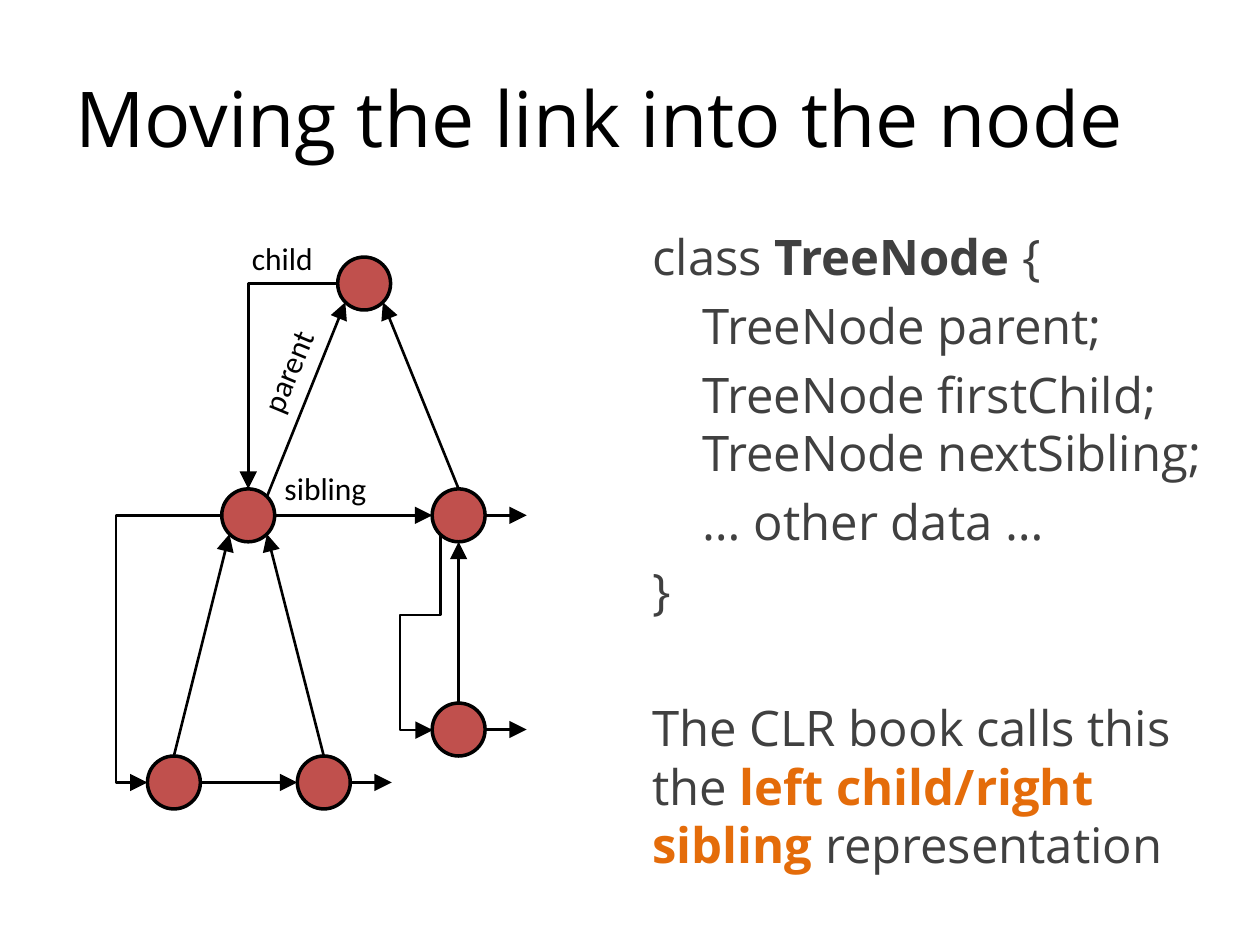
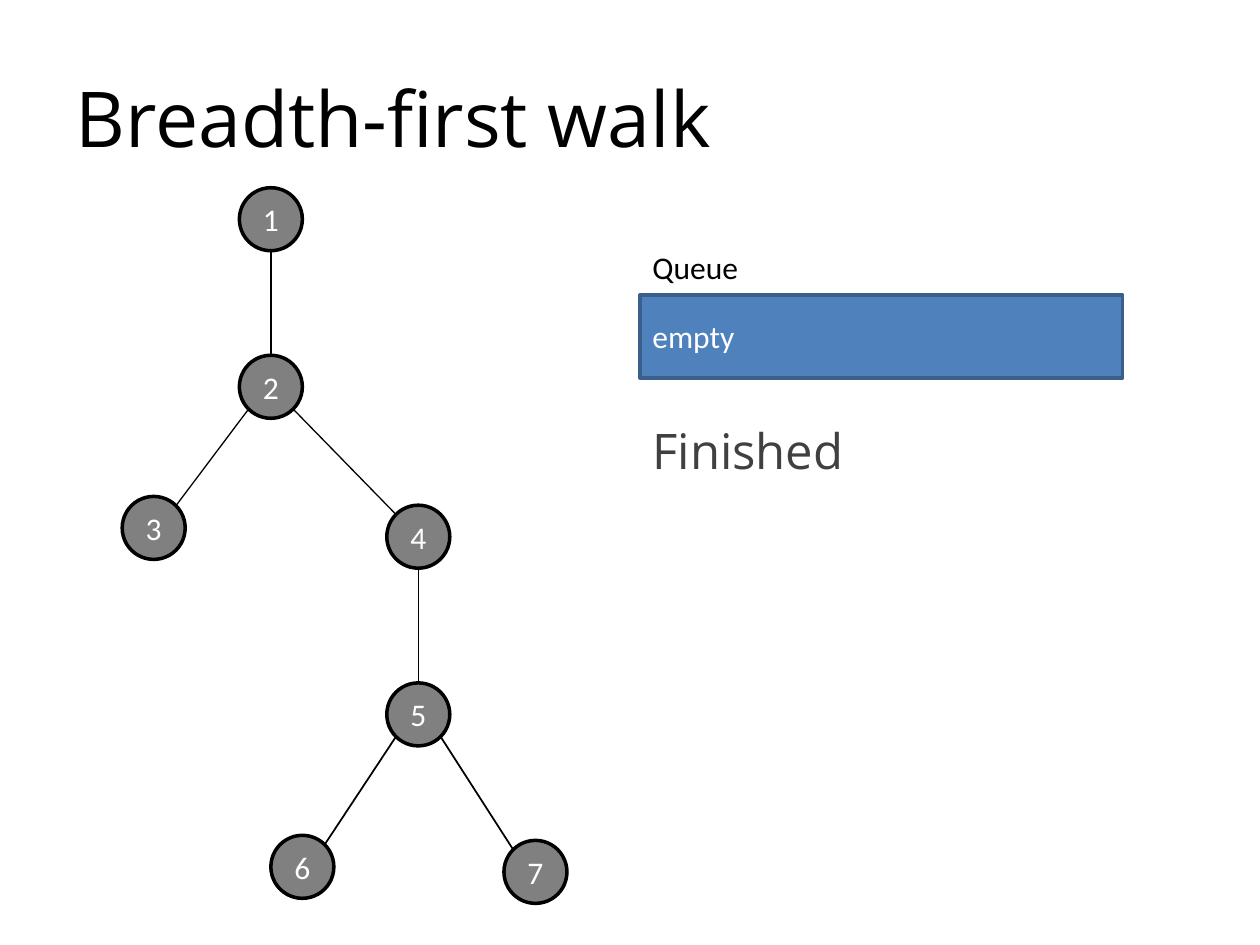
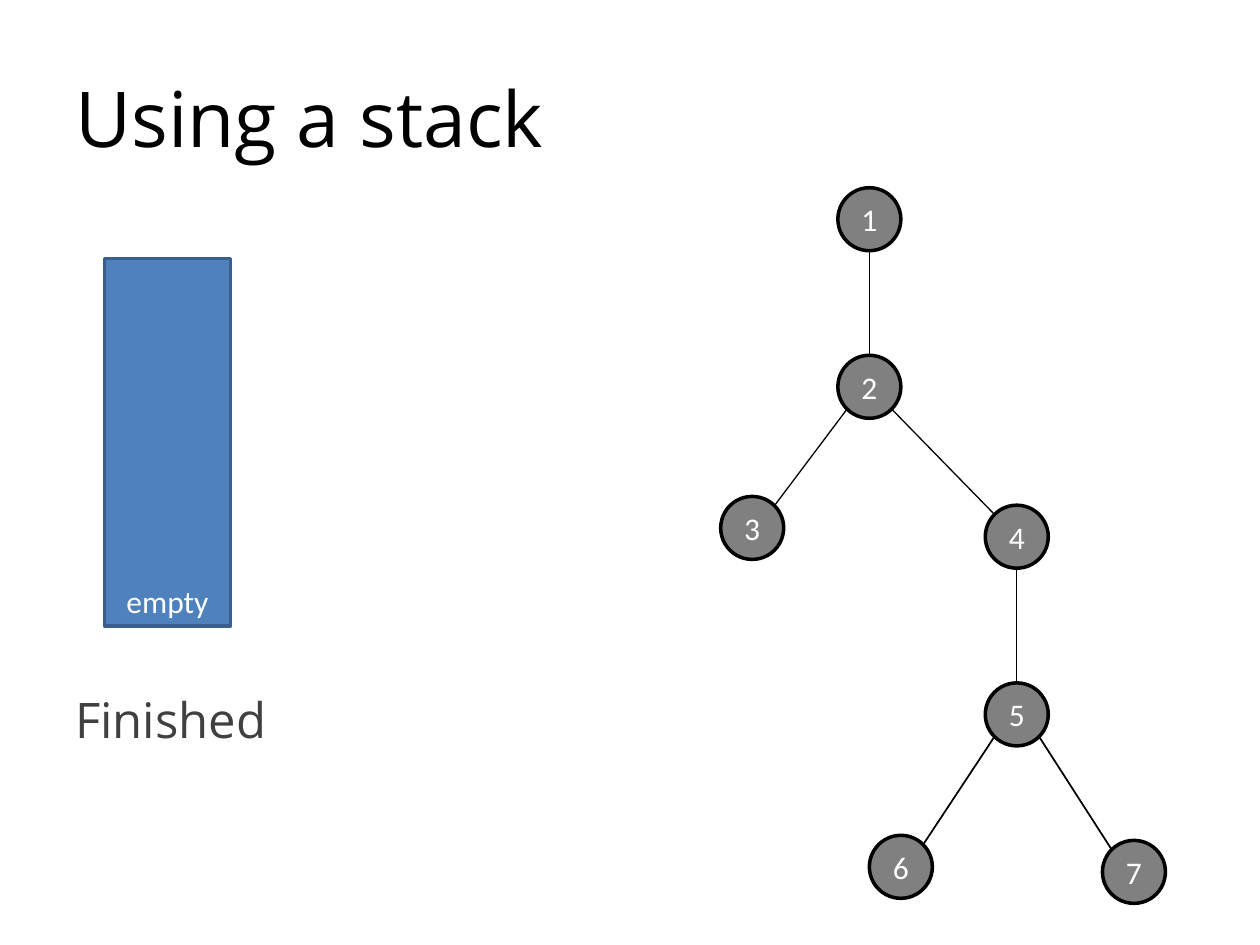
from lxml import etree
from pptx import Presentation
from pptx.dml.color import RGBColor
from pptx.enum.shapes import MSO_CONNECTOR, MSO_SHAPE
from pptx.enum.text import MSO_ANCHOR, MSO_AUTO_SIZE, PP_ALIGN
from pptx.oxml.ns import qn
from pptx.util import Inches, Pt

STRAIGHT, ELBOW = MSO_CONNECTOR.STRAIGHT, MSO_CONNECTOR.ELBOW
OVAL, RECTANGLE = MSO_SHAPE.OVAL, MSO_SHAPE.RECTANGLE
TOP, MIDDLE, BOTTOM = MSO_ANCHOR.TOP, MSO_ANCHOR.MIDDLE, MSO_ANCHOR.BOTTOM
LEFT, CENTER = PP_ALIGN.LEFT, PP_ALIGN.CENTER
FIT_SHAPE = MSO_AUTO_SIZE.SHAPE_TO_FIT_TEXT

BLACK = RGBColor(0x00, 0x00, 0x00)
WHITE = RGBColor(0xFF, 0xFF, 0xFF)
BODY_GRAY = RGBColor(0x40, 0x40, 0x40)
ORANGE = RGBColor(0xE4, 0x6C, 0x0A)
RED = RGBColor(0xC0, 0x50, 0x4D)
VISITED_GRAY = RGBColor(0x80, 0x80, 0x80)
BLUE = RGBColor(0x4F, 0x81, 0xBD)
DARK_BLUE = RGBColor(0x3A, 0x5F, 0x8C)

HEADING_FONT, LABEL_FONT = "Open Sans", "Calibri"
BODY_SIZE, LABEL_SIZE = 28, 18
CODE_INDENT = 0.4
LINK_SIZE, VISITED_SIZE = 0.42, 0.5
NEXT_LENGTH = 0.33

# Directions from the centre of a node to its rim
RIM = {
    "N": (0, -1), "S": (0, 1), "W": (-1, 0), "E": (1, 0),
    "NW": (-0.71, -0.71), "NE": (0.71, -0.71),
    "SW": (-0.71, 0.71), "SE": (0.71, 0.71),
}

# Centres of the linked nodes
LINKED = {
    "root": (2.89, 2.25), "left": (1.97, 4.09), "right": (3.64, 4.09),
    "left first": (1.38, 6.21), "left second": (2.57, 6.21),
    "right first": (3.64, 5.79),
}
PARENT_LINKS = [
    ("left", "NE", "root", "SW"), ("right", "N", "root", "SE"),
    ("left first", "N", "left", "SW"), ("left second", "N", "left", "SE"),
    ("right first", "N", "right", "S"),
]
SIBLING_LINKS = [("left", "E", "right", "W"),
                 ("left first", "E", "left second", "W")]
LAST_SIBLINGS = ["right", "left second", "right first"]

# Centres of the numbered nodes, and edges with their line widths
WALK = {
    "1": (2.15, 1.74), "2": (2.15, 3.07), "3": (1.22, 4.19), "4": (3.32, 4.26),
    "5": (3.32, 5.67), "6": (2.4, 6.88), "7": (4.25, 6.92),
}
WALK_EDGES = [
    ("1", "S", "2", "N", 0.75), ("2", "SW", "3", "NE", 0.75),
    ("2", "SE", "4", "NW", 0.75), ("4", "S", "5", "N", 0.75),
    ("5", "SW", "6", "NE", 1), ("5", "SE", "7", "NW", 1),
]
STACK_TREE_SHIFT = 4.75


def style(run, size, font, color, bold=False):
    run.font.size = Pt(size)
    run.font.name = font
    run.font.color.rgb = color
    run.font.bold = bold


def add_text(slide, box, text, size, font, color, anchor=TOP, wrap=True):
    holder = slide.shapes.add_textbox(*map(Inches, box))
    frame = holder.text_frame
    frame.word_wrap = wrap
    frame.vertical_anchor = anchor
    frame.text = text
    style(frame.paragraphs[0].runs[0], size, font, color)
    return holder


def add_titled_slide(deck, title):
    slide = deck.slides.add_slide(deck.slide_layouts[6])
    add_text(slide, (0.5, 0.3, 9, 1.25), title, 44, HEADING_FONT, BLACK, MIDDLE)
    return slide


def add_label(slide, box, text, rotation=0):
    label = add_text(slide, box, text, LABEL_SIZE, LABEL_FONT, BLACK, wrap=False)
    label.text_frame.auto_size = FIT_SHAPE
    label.rotation = rotation


def add_finished(slide, left, top):
    add_text(slide, (left, top, 4.92, 1.5), "Finished", BODY_SIZE, HEADING_FONT,
             BODY_GRAY)


def add_filled(slide, kind, box, fill, outline, text="", align=CENTER,
               anchor=MIDDLE):
    shape = slide.shapes.add_shape(kind, *map(Inches, box))
    shape.shadow.inherit = False
    shape.fill.solid()
    shape.fill.fore_color.rgb = fill
    shape.line.color.rgb = outline
    shape.line.width = Pt(2)
    if text:
        frame = shape.text_frame
        frame.vertical_anchor = anchor
        frame.text = text
        frame.paragraphs[0].alignment = align
        style(frame.paragraphs[0].runs[0], LABEL_SIZE, LABEL_FONT, WHITE)


def add_node(slide, center, size, fill, text=""):
    x, y = center
    add_filled(slide, OVAL, (x - size / 2, y - size / 2, size, size), fill, BLACK,
               text)


def rim_point(center, side, size):
    return tuple(c + d * size / 2 for c, d in zip(center, RIM[side]))


def add_line(slide, start, end, width, arrow=False, kind=STRAIGHT):
    line = slide.shapes.add_connector(kind, *map(Inches, start + end))
    line.line.color.rgb = BLACK
    line.line.width = Pt(width)
    if arrow:
        etree.SubElement(line.line._get_or_add_ln(), qn("a:tailEnd"),
                         type="triangle", w="lg", len="lg")
    etree.SubElement(line._element.spPr, qn("a:effectLst"))
    return line


def add_elbow(slide, start, end, preset, adjustments=()):
    elbow = add_line(slide, start, end, 1.5, True, ELBOW)
    geometry = elbow._element.spPr.find(qn("a:prstGeom"))
    geometry.set("prst", preset)
    values = geometry.find(qn("a:avLst"))
    if values is None:
        values = etree.SubElement(geometry, qn("a:avLst"))
    for number, share in enumerate(adjustments, 1):
        etree.SubElement(values, qn("a:gd"), name=f"adj{number}",
                         fmla=f"val {round(share * 100000)}")
    return elbow


def add_child_links(slide):
    add_elbow(slide, (2.68, 2.25), (1.97, 3.88), "bentConnector2")
    add_elbow(slide, (1.76, 4.09), (1.17, 6.21), "bentConnector3", [1.42])
    # This one leaves its node downwards, so its frame is turned by 90 degrees
    turned = add_elbow(slide, (2.69, 4.99), (4.24, 5.05), "bentConnector4",
                       [0.41, 5.37])
    turned._element.spPr.find(qn("a:xfrm")).set("rot", str(90 * 60000))


def add_linked_tree(slide):
    for center in LINKED.values():
        add_node(slide, center, LINK_SIZE, RED)
    for source, leave, target, enter in PARENT_LINKS + SIBLING_LINKS:
        add_line(slide, rim_point(LINKED[source], leave, LINK_SIZE),
                 rim_point(LINKED[target], enter, LINK_SIZE), 1.5, True)
    for name in LAST_SIBLINGS:
        x, y = rim_point(LINKED[name], "E", LINK_SIZE)
        add_line(slide, (x, y), (x + NEXT_LENGTH, y), 1.5, True)
    add_child_links(slide)
    add_label(slide, (1.9, 1.85, 0.69, 0.4), "child")
    add_label(slide, (2.16, 3.67, 0.86, 0.4), "sibling")
    add_label(slide, (1.84, 2.74, 0.88, 0.4), "parent", 292.5)


def add_class_text(slide):
    plain, strong, accent = (BODY_GRAY, False), (BODY_GRAY, True), (ORANGE, True)
    # Indent, space before in points, and runs of each paragraph
    paragraphs = [
        (0, 5.6, [("class ", plain), ("TreeNode", strong), (" {", plain)]),
        (CODE_INDENT, 5.6, [("TreeNode parent;", plain)]),
        (CODE_INDENT, 5.6,
         [("TreeNode firstChild;\vTreeNode nextSibling;", plain)]),
        (CODE_INDENT, 5.6, [("… other data …", plain)]),
        (0, 5.6, [("}", plain)]),
        (0, 44.7, [("The CLR book calls this the ", plain),
                   ("left child/right sibling ", accent),
                   ("representation", plain)]),
    ]
    box = slide.shapes.add_textbox(*map(Inches, (5.08, 1.75, 4.92, 4.95)))
    frame = box.text_frame
    frame.word_wrap = True
    for index, (indent, space, pieces) in enumerate(paragraphs):
        paragraph = frame.add_paragraph() if index else frame.paragraphs[0]
        paragraph.space_before = Pt(space)
        paragraph._p.get_or_add_pPr().set("marL", str(Inches(indent)))
        if len(pieces) == 1:
            paragraph.text = pieces[0][0]
        else:
            for text, _ in pieces:
                paragraph.add_run().text = text
        for position, run in enumerate(paragraph.runs):
            color, bold = pieces[min(position, len(pieces) - 1)][1]
            style(run, BODY_SIZE, HEADING_FONT, color, bold)


def add_walk_tree(slide, shift=0):
    centers = {name: (x + shift, y) for name, (x, y) in WALK.items()}
    for name, center in centers.items():
        add_node(slide, center, VISITED_SIZE, VISITED_GRAY, name)
    for source, leave, target, enter, width in WALK_EDGES:
        add_line(slide, rim_point(centers[source], leave, VISITED_SIZE),
                 rim_point(centers[target], enter, VISITED_SIZE), width)


def main():
    deck = Presentation()
    deck.slide_width, deck.slide_height = Inches(10), Inches(7.5)

    # Linked nodes
    slide = add_titled_slide(deck, "Moving the link into the node")
    add_class_text(slide)
    add_linked_tree(slide)

    # Walk with a queue
    slide = add_titled_slide(deck, "Breadth-first walk")
    add_finished(slide, 5.08, 3.29)
    add_walk_tree(slide)
    add_filled(slide, RECTANGLE, (5.08, 2.34, 3.83, 0.66), BLUE, DARK_BLUE,
               "empty", LEFT)
    add_label(slide, (5.08, 1.92, 0.89, 0.4), "Queue")

    # Walk with a stack
    slide = add_titled_slide(deck, "Using a stack")
    add_walk_tree(slide, STACK_TREE_SHIFT)
    add_finished(slide, 0.5, 5.42)
    add_filled(slide, RECTANGLE, (0.83, 2.05, 1, 2.92), BLUE, DARK_BLUE,
               "empty", CENTER, BOTTOM)

    deck.save("out.pptx")


if __name__ == "__main__":
    main()
